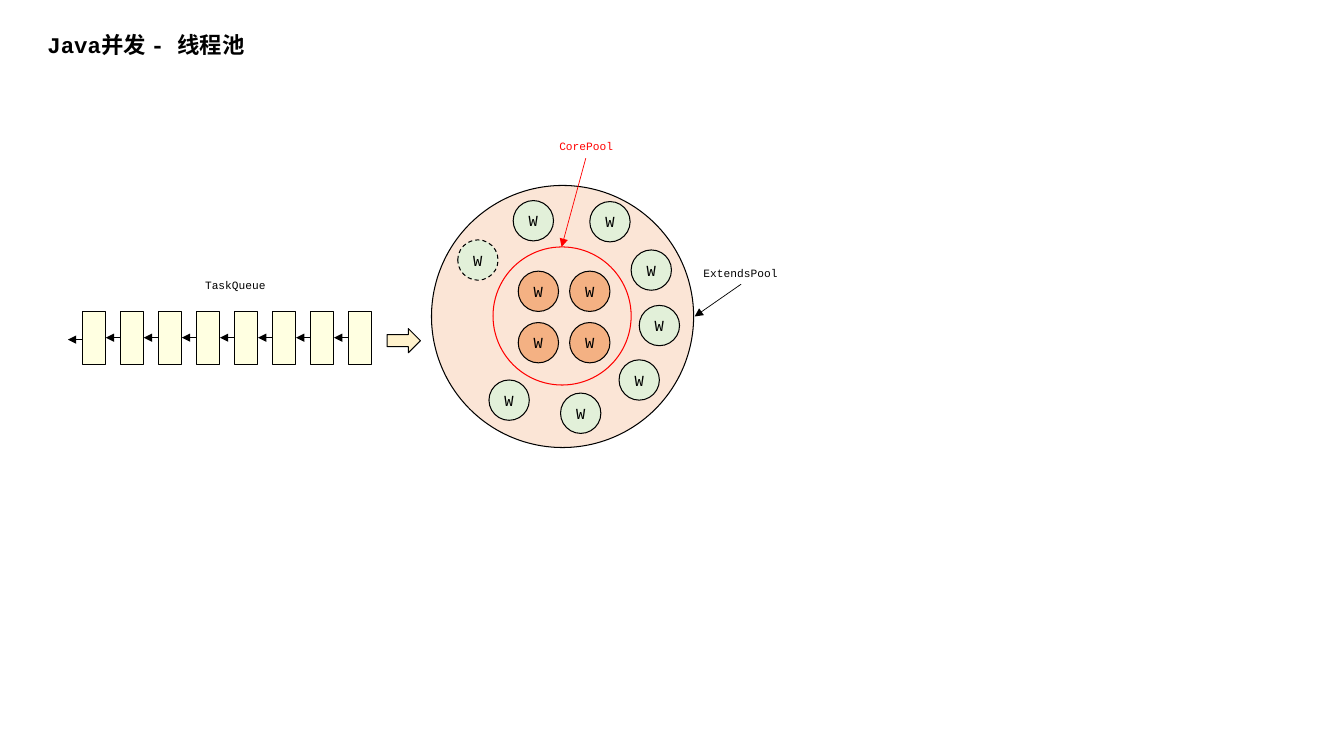
"""Build a slide that shows a Java thread pool fed by a task queue."""
from lxml import etree
from pptx import Presentation
from pptx.dml.color import RGBColor
from pptx.enum.dml import MSO_LINE
from pptx.enum.shapes import MSO_CONNECTOR, MSO_SHAPE
from pptx.enum.text import MSO_ANCHOR, PP_ALIGN
from pptx.oxml.ns import qn
from pptx.util import Inches, Pt

OVAL, BOX, ARROW = MSO_SHAPE.OVAL, MSO_SHAPE.RECTANGLE, MSO_SHAPE.RIGHT_ARROW
STRAIGHT = MSO_CONNECTOR.STRAIGHT
DASH = MSO_LINE.DASH
MIDDLE, TOP = MSO_ANCHOR.MIDDLE, MSO_ANCHOR.TOP
CENTER, JUSTIFY = PP_ALIGN.CENTER, PP_ALIGN.JUSTIFY
TITLE_ONLY = 5

BLACK = RGBColor(0x00, 0x00, 0x00)
RED = RGBColor(0xFF, 0x00, 0x00)
PEACH = RGBColor(0xFB, 0xE5, 0xD6)
ORANGE = RGBColor(0xF4, 0xB1, 0x83)
GREEN = RGBColor(0xE2, 0xF0, 0xD9)
IVORY = RGBColor(0xFF, 0xFF, 0xE1)
CREAM = RGBColor(0xFF, 0xF2, 0xCC)
FONT = "Courier New"

TITLE = "Java并发 - 线程池"
LABELS = [
    ("TaskQueue", 1.78, 2.71, BLACK),
    ("CorePool", 5.26, 1.33, RED),
    ("ExtendsPool", 6.79, 2.59, BLACK),
]
POINTERS = [
    ((5.81, 1.57), (5.57, 2.45), RED),
    ((7.35, 2.82), (6.89, 3.14), BLACK),
]
POOLS = [
    (4.28, 1.84, 2.6, BLACK),
    (4.89, 2.45, 1.37, RED),
]
WORKER = "W"
WORKER_SIZE = 0.4
CORE_COLUMNS = (5.14, 5.65)
CORE_ROWS = (2.69, 3.2)
EXTRA_WORKERS = [
    (6.26, 2.48), (6.34, 3.03), (6.14, 3.57), (5.56, 3.9),
    (4.85, 3.77), (5.09, 1.99), (5.85, 2.0),
]
IDLE_WORKER = (4.54, 2.38)

TASK_COUNT = 8
QUEUE_LEFT, QUEUE_TOP = 0.82, 3.09
QUEUE_RIGHT = 3.46
TASK_WIDTH, TASK_HEIGHT = 0.23, 0.53
TASK_PITCH = (QUEUE_RIGHT - QUEUE_LEFT) / (TASK_COUNT - 1)
LINK_Y, EXIT_Y = 3.35, 3.37


def write(shape, text, size, color, alignment, anchor):
    frame = shape.text_frame
    frame.word_wrap = True
    frame.vertical_anchor = anchor
    paragraph = frame.paragraphs[0]
    paragraph.text = text
    paragraph.alignment = alignment
    paragraph.font.name = FONT
    paragraph.font.size = Pt(size)
    paragraph.font.color.rgb = color
    return paragraph


def add_figure(slide, kind, left, top, width, height, fill, line=BLACK):
    shape = slide.shapes.add_shape(
        kind, Inches(left), Inches(top), Inches(width), Inches(height))
    shape.shadow.inherit = False
    shape.fill.solid()
    shape.fill.fore_color.rgb = fill
    shape.line.color.rgb = line
    shape.line.width = Pt(0.75)
    return shape


def add_worker(slide, left, top, fill):
    worker = add_figure(slide, OVAL, left, top, WORKER_SIZE, WORKER_SIZE, fill)
    frame = worker.text_frame
    frame.margin_left = frame.margin_right = 0
    frame.margin_top = frame.margin_bottom = 0
    write(worker, WORKER, 11, BLACK, CENTER, MIDDLE)
    return worker


def add_arrow(slide, start, end, color=BLACK):
    points = [Inches(value) for value in (*start, *end)]
    connector = slide.shapes.add_connector(STRAIGHT, *points)
    connector.line.color.rgb = color
    connector.line.width = Pt(0.5)
    line = connector.line._get_or_add_ln()
    etree.SubElement(line, qn("a:tailEnd"), type="triangle")
    etree.SubElement(connector._element.spPr, qn("a:effectLst"))


def add_title(slide):
    title = slide.shapes.title
    title.left, title.top = Inches(0.37), Inches(0.26)
    title.width, title.height = Inches(5.27), Inches(0.37)
    write(title, TITLE, 16, BLACK, JUSTIFY, TOP).font.bold = True


def add_queue(slide):
    for index in range(TASK_COUNT):
        left = QUEUE_LEFT + index * TASK_PITCH
        add_figure(slide, BOX, left, QUEUE_TOP, TASK_WIDTH, TASK_HEIGHT, IVORY)
        y = LINK_Y if index else EXIT_Y
        add_arrow(slide, (left, y), (left - TASK_PITCH + TASK_WIDTH, y))
    add_figure(slide, ARROW, 3.84, 3.26, 0.33, 0.24, CREAM)


def add_pools(slide):
    for left, top, size, line in POOLS:
        add_figure(slide, OVAL, left, top, size, size, PEACH, line)
    for top in CORE_ROWS:
        for left in CORE_COLUMNS:
            add_worker(slide, left, top, ORANGE)
    for left, top in EXTRA_WORKERS:
        add_worker(slide, left, top, GREEN)
    add_worker(slide, *IDLE_WORKER, GREEN).line.dash_style = DASH


def add_labels(slide):
    for text, left, top, color in LABELS:
        label = slide.shapes.add_textbox(
            Inches(left), Inches(top), Inches(1.11), Inches(0.24))
        write(label, text, 8, color, CENTER, TOP)
    for start, end, color in POINTERS:
        add_arrow(slide, start, end, color)


def main():
    presentation = Presentation()
    presentation.slide_width = Inches(13.33)
    presentation.slide_height = Inches(7.5)
    slide = presentation.slides.add_slide(presentation.slide_layouts[TITLE_ONLY])
    add_title(slide)
    add_queue(slide)
    add_pools(slide)
    add_labels(slide)
    presentation.save("out.pptx")


if __name__ == "__main__":
    main()
